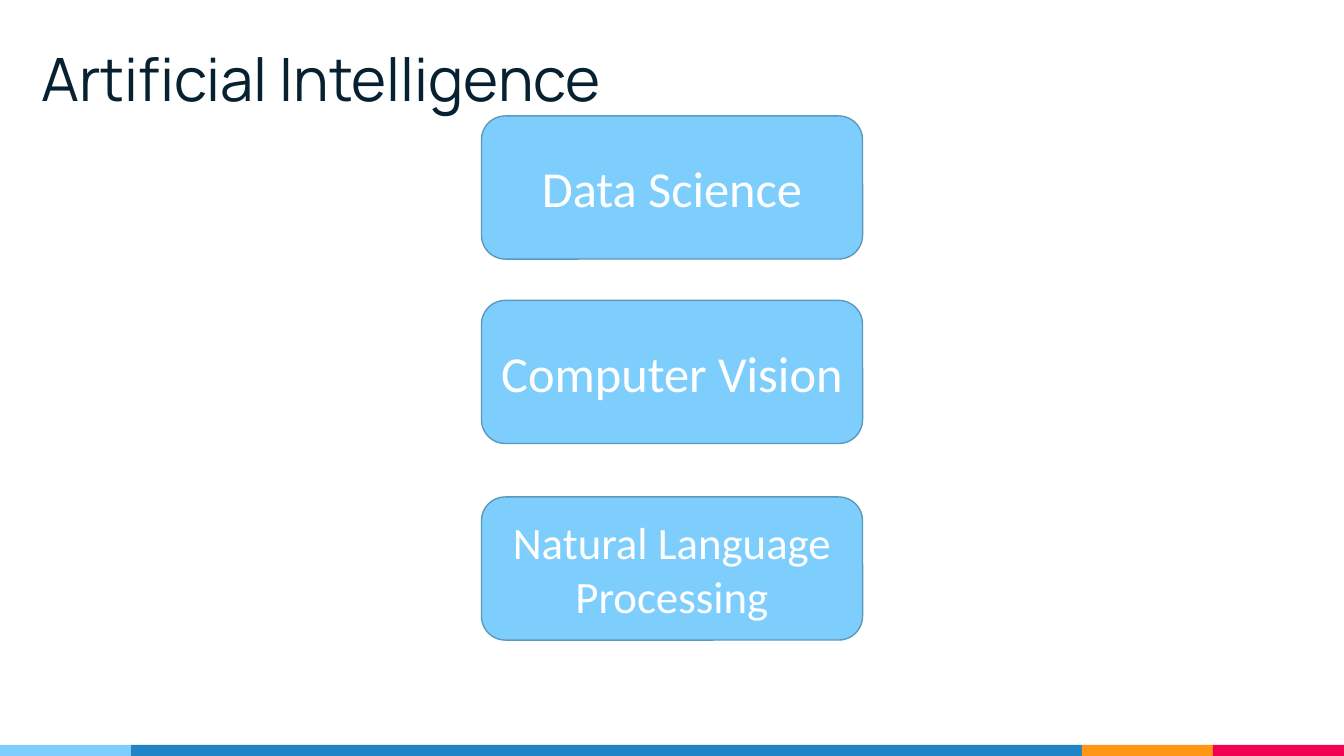
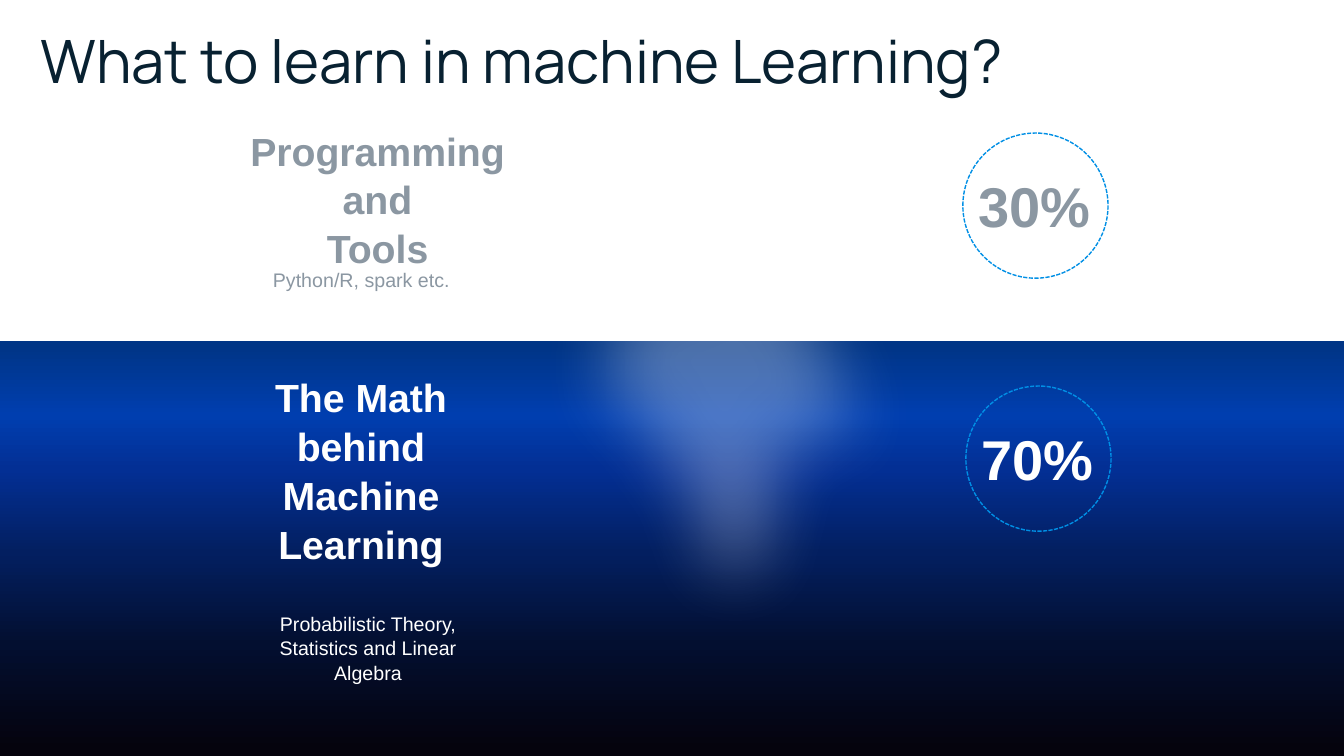
"""Builds two slides on the fields of artificial intelligence and what to learn."""
import dataclasses

import lxml.etree
import pptx
import pptx.dml.color
import pptx.enum.dml
import pptx.enum.shapes
import pptx.enum.text
import pptx.oxml.ns
import pptx.util

Inches = pptx.util.Inches
qn = pptx.oxml.ns.qn
SHAPE = pptx.enum.shapes.MSO_SHAPE
ALIGN = pptx.enum.text.PP_ALIGN
ANCHOR = pptx.enum.text.MSO_ANCHOR


@dataclasses.dataclass(frozen=True)
class Theme:
    navy: str = "082131"
    white: str = "FFFFFF"
    grey: str = "8B97A2"
    sky: str = "7ECEFD"
    sky_edge: str = "5D98BB"
    blue: str = "2185C5"
    orange: str = "FF9715"
    pink: str = "F20253"
    ring: str = "008FE5"
    sea: tuple = ((0, "05020B"), (27, "030F30"), (49, "031F60"),
                  (69, "032F94"), (82, "003EAF"), (99, "003586"))
    title_font: str = "Manrope"
    box_font: str = "Calibri"
    body_font: str = "Arial"
    title_size: float = 42.7
    percent_size: int = 40
    box_size: int = 36
    box_small_size: int = 32
    heading_size: int = 28
    detail_size: int = 14
    body_spacing: float = 1.04


THEME = Theme()
SLIDE_WIDTH, SLIDE_HEIGHT = 13.33, 7.5
STRIP_HEIGHT, STRIP_END = 0.11, 1.3
FIELD_SIZE = (3.78, 1.42)
RING_SIZE = 1.44
BERG_SOFTNESS = 0.69
BERG_OPACITY = 30
BERG_OUTLINE = (
    (5.13, 2.96), (5.33, 2.8), (5.44, 2.49), (5.65, 2.3), (5.94, 2.22),
    (6.18, 2.11), (6.35, 2.01), (6.58, 1.75), (6.73, 1.51), (6.89, 1.53),
    (6.92, 1.72), (7.16, 1.58), (7.37, 1.32), (7.54, 1.34), (7.73, 1.49),
    (8.06, 1.61), (8.27, 1.75), (8.47, 2.13), (8.61, 2.27), (8.73, 2.53),
    (8.85, 2.68), (8.92, 2.97), (9.04, 3.25), (9.15, 3.47), (9.21, 3.91),
    (9.2, 4.49), (9.16, 4.7), (9.09, 5.06), (8.7, 5.08), (8.61, 4.99),
    (8.49, 5.06), (8.46, 5.3), (8.33, 5.53), (8.3, 5.99), (8.18, 6.25),
    (7.96, 6.42), (7.75, 6.49), (7.63, 6.66), (7.46, 6.56), (6.85, 6.54),
    (6.61, 6.49), (6.52, 6.34), (6.39, 6.23), (6.3, 6.06), (6.28, 5.8),
    (6.2, 5.6), (6.04, 5.35), (5.92, 5.2), (5.77, 5.04), (5.7, 4.77),
    (5.37, 4.7), (5.3, 4.51), (5.37, 3.96), (5.35, 3.56), (5.21, 3.41),
    (5.11, 3.3), (5.06, 3.15),
)


def rgb(code):
    """Turn a hex code into a colour."""
    return pptx.dml.color.RGBColor.from_string(code)


def assign(target, values):
    """Set each named attribute of the target."""
    for name, value in values.items():
        setattr(target, name, value)


def write(frame, lines, color, font, align=ALIGN.CENTER, anchor=ANCHOR.MIDDLE, spacing=None):
    """Fill a text frame with equally formatted paragraphs."""
    assign(frame, {"word_wrap": True, "vertical_anchor": anchor,
                   "auto_size": pptx.enum.text.MSO_AUTO_SIZE.NONE,
                   "text": "\n".join(lines)})
    for paragraph in frame.paragraphs:
        assign(paragraph, {"alignment": align, "line_spacing": spacing})
        assign(paragraph.font, font)
        paragraph.font.color.rgb = rgb(color)


def add_title_slide(prs, title, left, top):
    """Add a title-only slide with its styled title."""
    slide = prs.slides.add_slide(prs.slide_layouts[5])
    heading = slide.shapes.title
    assign(heading, {"left": Inches(left), "top": Inches(top),
                     "width": Inches(10.42), "height": Inches(0.96)})
    write(heading.text_frame, [title], THEME.navy,
          {"name": THEME.title_font, "size": pptx.util.Pt(THEME.title_size)}, ALIGN.LEFT)
    return slide


def add_plain_shape(slide, kind, box, fill=None, line=None):
    """Add a preset shape with a flat fill and a thin line or none."""
    shape = slide.shapes.add_shape(kind, *map(Inches, box))
    shape.shadow.inherit = False
    if fill:
        shape.fill.solid()
        shape.fill.fore_color.rgb = rgb(fill)
    else:
        shape.fill.background()
    if line:
        shape.line.color.rgb = rgb(line)
        shape.line.width = pptx.util.Pt(1)
    else:
        shape.line.fill.background()
    return shape


def add_body_text(slide, box, lines, color, size, bold=False, anchor=ANCHOR.TOP):
    """Add a centred text box in the body font."""
    label = slide.shapes.add_textbox(*map(Inches, box))
    write(label.text_frame, lines, color,
          {"name": THEME.body_font, "size": pptx.util.Pt(size), "bold": bold},
          anchor=anchor, spacing=THEME.body_spacing)


def add_footer_strip(slide):
    """Put the coloured footer strip on the layout of the slide."""
    middle = SLIDE_WIDTH - 3 * STRIP_END
    left = 0
    for color, width in ((THEME.sky, STRIP_END), (THEME.blue, middle),
                         (THEME.orange, STRIP_END), (THEME.pink, STRIP_END)):
        band = add_plain_shape(slide, SHAPE.RECTANGLE,
                               (left, SLIDE_HEIGHT - STRIP_HEIGHT, width, STRIP_HEIGHT), color)
        slide.slide_layout.shapes.element.append(band.element)
        left += width


def add_field(slide, top, name, size):
    """Add one rounded box naming a field, centred on the slide."""
    width, height = FIELD_SIZE
    field = add_plain_shape(slide, SHAPE.ROUNDED_RECTANGLE,
                            ((SLIDE_WIDTH - width) / 2, top, width, height),
                            THEME.sky, THEME.sky_edge)
    write(field.text_frame, [name], THEME.white,
          {"name": THEME.box_font, "size": pptx.util.Pt(size)})


def add_sea(slide, top):
    """Add the deep water gradient down to the foot of the slide."""
    sea = add_plain_shape(slide, SHAPE.RECTANGLE, (0, top, SLIDE_WIDTH, SLIDE_HEIGHT - top))
    sea.fill.gradient()
    sea.fill.gradient_angle = 90
    stops = sea.element.spPr.find(".//" + qn("a:gsLst"))
    stops.clear()
    for position, color in THEME.sea:
        stop = lxml.etree.SubElement(stops, qn("a:gs"), pos=str(position * 1000))
        lxml.etree.SubElement(stop, qn("a:srgbClr"), val=color)


def add_iceberg(slide):
    """Add the translucent iceberg with soft edges."""
    points = [(Inches(x), Inches(y)) for x, y in BERG_OUTLINE]
    builder = slide.shapes.build_freeform(*points[0])
    builder.add_line_segments(points[1:], close=True)
    berg = builder.convert_to_shape()
    berg.shadow.inherit = False
    berg.line.fill.background()
    berg.fill.solid()
    berg.fill.fore_color.rgb = rgb(THEME.white)
    properties = berg.element.spPr
    color = properties.find(qn("a:solidFill")).find(qn("a:srgbClr"))
    lxml.etree.SubElement(color, qn("a:alpha"), val=str(BERG_OPACITY * 1000))
    lxml.etree.SubElement(properties.find(qn("a:effectLst")), qn("a:softEdge"),
                          rad=str(int(Inches(BERG_SOFTNESS))))


def add_share(slide, left, top, percent, color):
    """Add a percentage inside a dashed ring."""
    ring = add_plain_shape(slide, SHAPE.OVAL, (left, top, RING_SIZE, RING_SIZE), line=THEME.ring)
    ring.line.dash_style = pptx.enum.dml.MSO_LINE.SQUARE_DOT
    add_body_text(slide, (left - 0.08, top + 0.32, 1.58, 0.77), [percent], color,
                  THEME.percent_size, True, ANCHOR.MIDDLE)


def build_fields_slide(prs):
    """Build the slide on the fields of artificial intelligence."""
    slide = add_title_slide(prs, "Artificial Intelligence", 0.31, 0.29)
    add_footer_strip(slide)
    for top, name, size in ((1.15, "Data Science", THEME.box_size),
                            (2.98, "Computer Vision", THEME.box_size),
                            (4.93, "Natural Language Processing", THEME.box_small_size)):
        add_field(slide, top, name, size)


def build_learning_slide(prs):
    """Build the slide on what to learn."""
    slide = add_title_slide(prs, "What to learn in machine Learning?", 0.3, 0.11)
    add_sea(slide, 3.38)
    add_iceberg(slide)
    for box, lines, color in (
            ((2.33, 1.19, 2.83, 1.51), ["Programming and", "Tools"], THEME.grey),
            ((2.52, 3.64, 2.12, 1.99), ["The Math behind", "Machine Learning"], THEME.white)):
        add_body_text(slide, box, lines, color, THEME.heading_size, True)
    for box, detail, color in (
            ((2.27, 2.6, 2.63, 0.4), "Python/R, spark etc.", THEME.grey),
            ((2.59, 6.01, 2.12, 1.01), "Probabilistic Theory, Statistics and Linear Algebra",
             THEME.white)):
        add_body_text(slide, box, [detail], color, THEME.detail_size)
    add_share(slide, 9.55, 1.32, "30%", THEME.grey)
    add_share(slide, 9.58, 3.83, "70%", THEME.white)


def main():
    """Build and save the presentation."""
    prs = pptx.Presentation()
    assign(prs, {"slide_width": Inches(SLIDE_WIDTH), "slide_height": Inches(SLIDE_HEIGHT)})
    build_fields_slide(prs)
    build_learning_slide(prs)
    prs.save("out.pptx")


if __name__ == "__main__":
    main()
